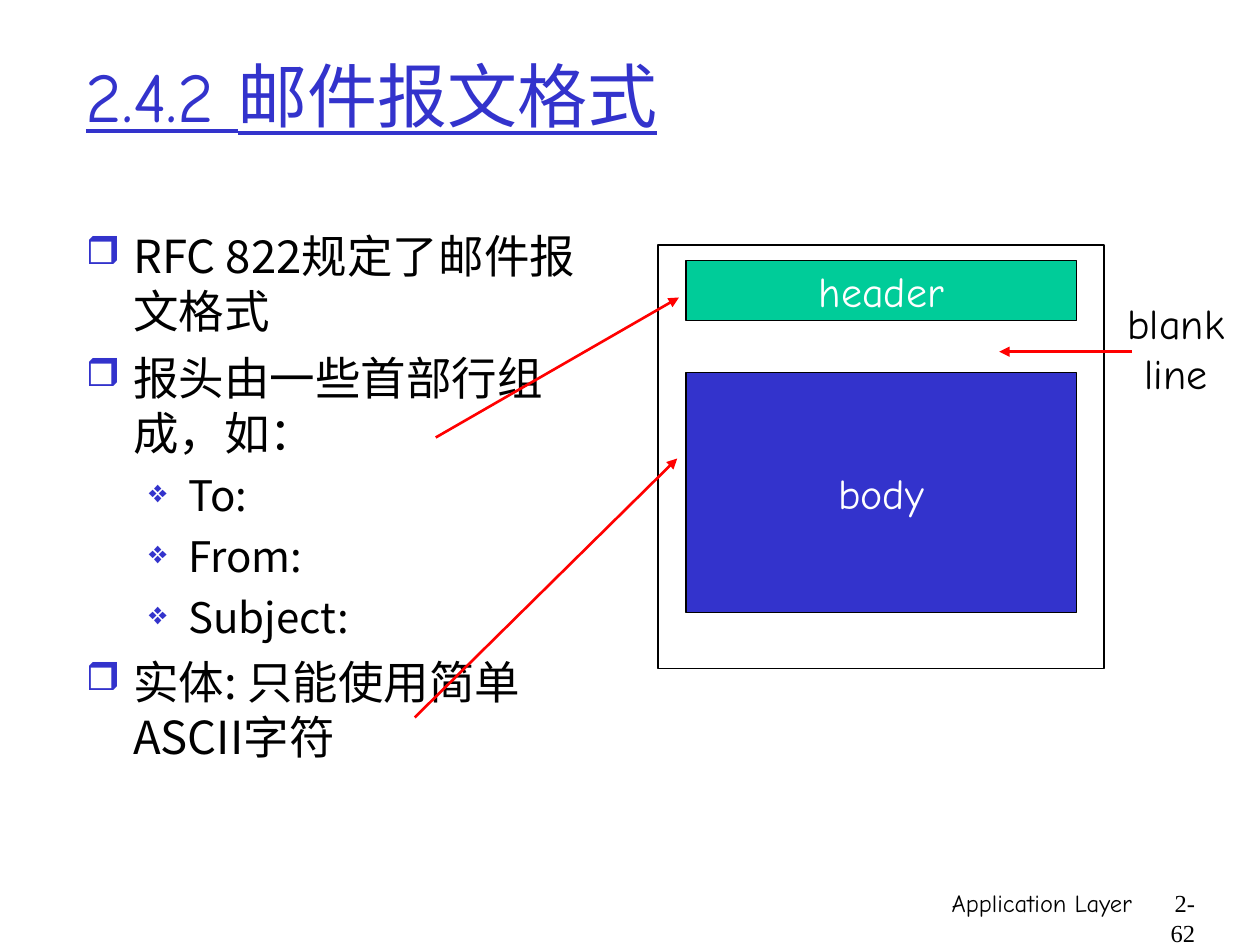
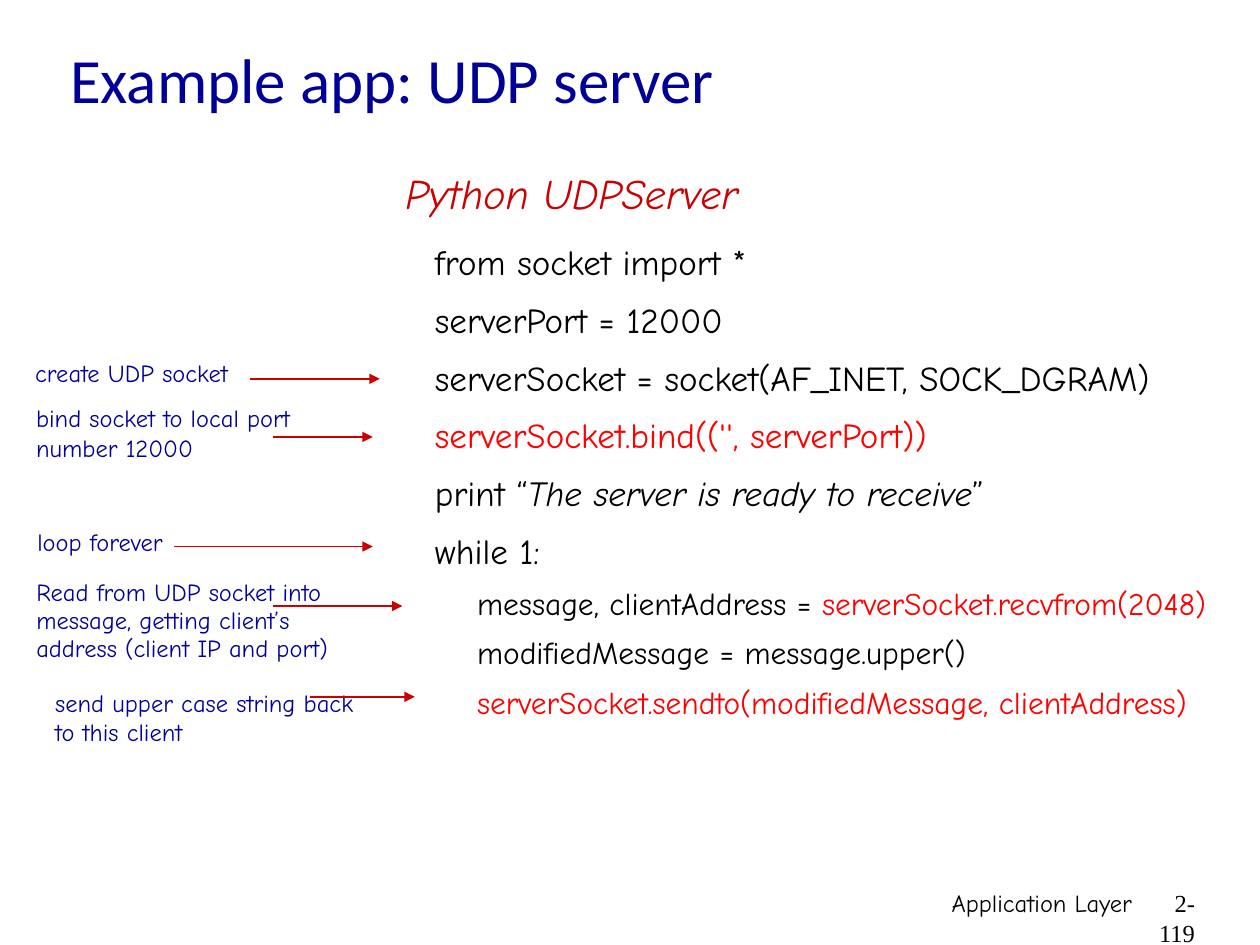
from dataclasses import dataclass
from typing import NamedTuple, Optional

from lxml import etree
from pptx import Presentation
from pptx.dml.color import RGBColor
from pptx.enum.shapes import MSO_CONNECTOR, MSO_SHAPE
from pptx.enum.text import MSO_ANCHOR, PP_ALIGN
from pptx.oxml.ns import qn
from pptx.util import Pt

LEFT, CENTER, RIGHT = PP_ALIGN.LEFT, PP_ALIGN.CENTER, PP_ALIGN.RIGHT
TOP, MIDDLE = MSO_ANCHOR.TOP, MSO_ANCHOR.MIDDLE
RECTANGLE, STRAIGHT = MSO_SHAPE.RECTANGLE, MSO_CONNECTOR.STRAIGHT

BLACK = RGBColor(0x00, 0x00, 0x00)
WHITE = RGBColor(0xFF, 0xFF, 0xFF)
BLUE = RGBColor(0x33, 0x33, 0xCC)
NAVY = RGBColor(0x00, 0x00, 0x99)
GREEN = RGBColor(0x00, 0xCC, 0x99)
RED = RGBColor(0xFF, 0x00, 0x00)
DARK_RED = RGBColor(0xCC, 0x00, 0x00)

COMIC, CJK = "Comic Neue", "Noto Sans CJK SC"
CALIBRI, TIMES = "Calibri", "Times New Roman"


class Box(NamedTuple):
    left: float
    top: float
    width: float
    height: float


class Run(NamedTuple):
    text: str
    color: Optional[RGBColor] = None
    italic: bool = False
    new_line: bool = False


@dataclass
class Bullet:
    char: str
    percent: int
    margin: float
    hanging: float


@dataclass
class Para:
    runs: list[Run]
    size: Optional[float] = None
    before: float = 0
    line: Optional[float] = None
    bullet: Optional[Bullet] = None


@dataclass
class Step:
    """A remark on the code, with the arrow that leads to its line."""
    text: str
    box: Box
    arrow_from: float
    arrow_to: float
    arrow_y: float
    line: Optional[float] = None


def add_bullet(paragraph, bullet: Bullet) -> None:
    props = paragraph._p.get_or_add_pPr()
    props.set("marL", str(Pt(bullet.margin)))
    props.set("indent", str(-Pt(bullet.hanging)))
    color = etree.SubElement(props, qn("a:buClr"))
    etree.SubElement(color, qn("a:srgbClr"), val=str(BLUE))
    etree.SubElement(props, qn("a:buSzPct"), val=str(bullet.percent * 1000))
    etree.SubElement(props, qn("a:buChar"), char=bullet.char)


def add_break(paragraph, size: float) -> None:
    """Break the line without changing its height."""
    paragraph.add_line_break()
    etree.SubElement(paragraph._p[-1], qn("a:rPr"), sz=str(int(size * 100)))


def write_text(frame, paras: list[Para], *, size: float = 14, font: str = COMIC,
               color: RGBColor = BLACK, align=LEFT, anchor=TOP,
               wrap: bool = True, underline: bool = False) -> None:
    frame.word_wrap = wrap
    frame.vertical_anchor = anchor
    for index, para in enumerate(paras):
        paragraph = frame.add_paragraph() if index else frame.paragraphs[0]
        if para.bullet:
            add_bullet(paragraph, para.bullet)
        paragraph.alignment = align
        if index:
            paragraph.space_before = Pt(para.before)
        if para.line:
            paragraph.line_spacing = Pt(para.line)
        for part in para.runs:
            if part.new_line:
                add_break(paragraph, para.size or size)
            run = paragraph.add_run()
            run.text = part.text
            run.font.size = Pt(para.size or size)
            run.font.name = font
            run.font.color.rgb = part.color or color
            run.font.italic = part.italic
            run.font.underline = underline
            etree.SubElement(run._r.get_or_add_rPr(), qn("a:ea"), typeface=CJK)


def add_text(slide, box: Box, content: str | list[Para], **fmt) -> None:
    frame = slide.shapes.add_textbox(*map(Pt, box)).text_frame
    paras = [Para([Run(content)])] if isinstance(content, str) else content
    write_text(frame, paras, **fmt)


def add_rectangle(slide, box: Box, label: str = "",
                  fill: Optional[RGBColor] = None, weight: float = 0.75) -> None:
    shape = slide.shapes.add_shape(RECTANGLE, *map(Pt, box))
    shape.shadow.inherit = False
    if fill is None:
        shape.fill.background()
    else:
        shape.fill.solid()
        shape.fill.fore_color.rgb = fill
    shape.line.color.rgb = BLACK
    shape.line.width = Pt(weight)
    if label:
        write_text(shape.text_frame, [Para([Run(label)])], size=24, color=WHITE,
                   align=CENTER, anchor=MIDDLE, wrap=False)


def add_arrow(slide, start: tuple[float, float], end: tuple[float, float],
              color: RGBColor, weight: float) -> None:
    arrow = slide.shapes.add_connector(STRAIGHT, *map(Pt, (*start, *end)))
    arrow.line.color.rgb = color
    arrow.line.width = Pt(weight)
    etree.SubElement(arrow.line._get_or_add_ln(), qn("a:tailEnd"), type="triangle")
    etree.SubElement(arrow._element.spPr, qn("a:effectLst"))


def add_slide(deck, number: int):
    """Blank slide with the shared footer; the number breaks after its hyphen."""
    slide = deck.slides.add_slide(deck.slide_layouts[6])
    add_text(slide, Box(426, 504, 228, 36), "Application Layer", align=RIGHT)
    add_text(slide, Box(654, 504, 36, 36),
             [Para([Run("2-"), Run(str(number), new_line=True)])],
             font=TIMES, align=RIGHT)
    return slide


# Mail message format
TOPIC = Bullet("❒", 85, 27, 27)
FIELD = Bullet("❖", 75, 58.5, 22.5)


def topic(text: str) -> Para:
    return Para([Run(text)], 26, 6.5, 31.4, TOPIC)


def field(text: str) -> Para:
    return Para([Run(text)], 24, 6, 28.8, FIELD)


FORMAT_RULES = [
    topic("RFC 822规定了邮件报文格式"),
    topic("报头由一些首部行组成，如："),
    *map(field, ("To:", "From:", "Subject:")),
    topic("实体: 只能使用简单ASCII字符"),
]


def build_message_format(deck) -> None:
    slide = add_slide(deck, 62)
    add_text(slide, Box(42, 9, 612, 90), "2.4.2 邮件报文格式", size=40,
             color=BLUE, anchor=MIDDLE, underline=True)
    add_text(slide, Box(42, 126.7, 300, 366), FORMAT_RULES, font=CJK)

    # Message diagram
    add_rectangle(slide, Box(392, 149, 223, 34), "header", GREEN)
    add_rectangle(slide, Box(392, 213, 223, 137), "body", BLUE)
    add_rectangle(slide, Box(376, 140, 255, 242), weight=1)
    add_text(slide, Box(637, 166.3, 70, 65), [Para([Run("blank")]), Para([Run("line")])],
             size=24, align=CENTER, wrap=False)
    for start, end in (((249, 250), (388, 170)),
                       ((237, 410), (387, 262)),
                       ((647, 201), (571, 201))):
        add_arrow(slide, start, end, RED, 1.5)


# UDP server
def statement(*runs: Run) -> Para:
    return Para(list(runs), 20, 5, 28)


def loop_statement(*runs: Run) -> Para:
    return Para([Run("    "), *runs], 18, 4.5, 24)


SERVER_CODE = [
    statement(Run("from socket import *")),
    statement(Run("serverPort = 12000")),
    statement(Run("serverSocket = socket(AF_INET, SOCK_DGRAM)")),
    statement(Run("serverSocket.bind(('', serverPort))", RED)),
    statement(Run("print “"), Run("The server is ready to receive", italic=True), Run("”")),
    statement(Run("while 1:")),
    loop_statement(Run("message, clientAddress = "),
                   Run("serverSocket.recvfrom(2048)", RED)),
    loop_statement(Run("modifiedMessage = message.upper()")),
    loop_statement(Run("serverSocket.sendto(modifiedMessage, clientAddress)", RED)),
]

STEPS = [
    Step("create UDP socket", Box(13, 201, 202, 24), 143, 217, 216.5),
    Step("bind socket to local port number 12000", Box(13.5, 227, 179, 41),
         156, 213, 249.7),
    Step("loop forever", Box(14.3, 298.4, 94, 23), 99.5, 213, 312.3, 16),
    Step("Read from UDP socket into message, getting client’s address "
         "(client IP and port)", Box(13.7, 327, 185, 55), 156, 230, 346.3, 16),
    Step("send upper case string back to this client", Box(24.5, 389.5, 185, 41),
         177, 237, 398.2),
]


def build_udp_server(deck) -> None:
    slide = add_slide(deck, 119)
    add_text(slide, Box(33, 7, 612, 75), "Example app: UDP server", size=36,
             font=CALIBRI, color=NAVY, anchor=MIDDLE)
    add_text(slide, Box(241.5, 130, 456.5, 286), SERVER_CODE, wrap=False)
    add_text(slide, Box(224.6, 92.2, 204.5, 36),
             [Para([Run("Python UDPServer", italic=True)])],
             size=24, color=DARK_RED, wrap=False)
    for step in STEPS:
        add_text(slide, step.box, [Para([Run(step.text)], line=step.line)], color=NAVY)
        add_arrow(slide, (step.arrow_from, step.arrow_y),
                  (step.arrow_to, step.arrow_y), DARK_RED, 1)


def main() -> None:
    deck = Presentation()
    deck.slide_width, deck.slide_height = Pt(720), Pt(540)
    build_message_format(deck)
    build_udp_server(deck)
    deck.save("out.pptx")


if __name__ == "__main__":
    main()
